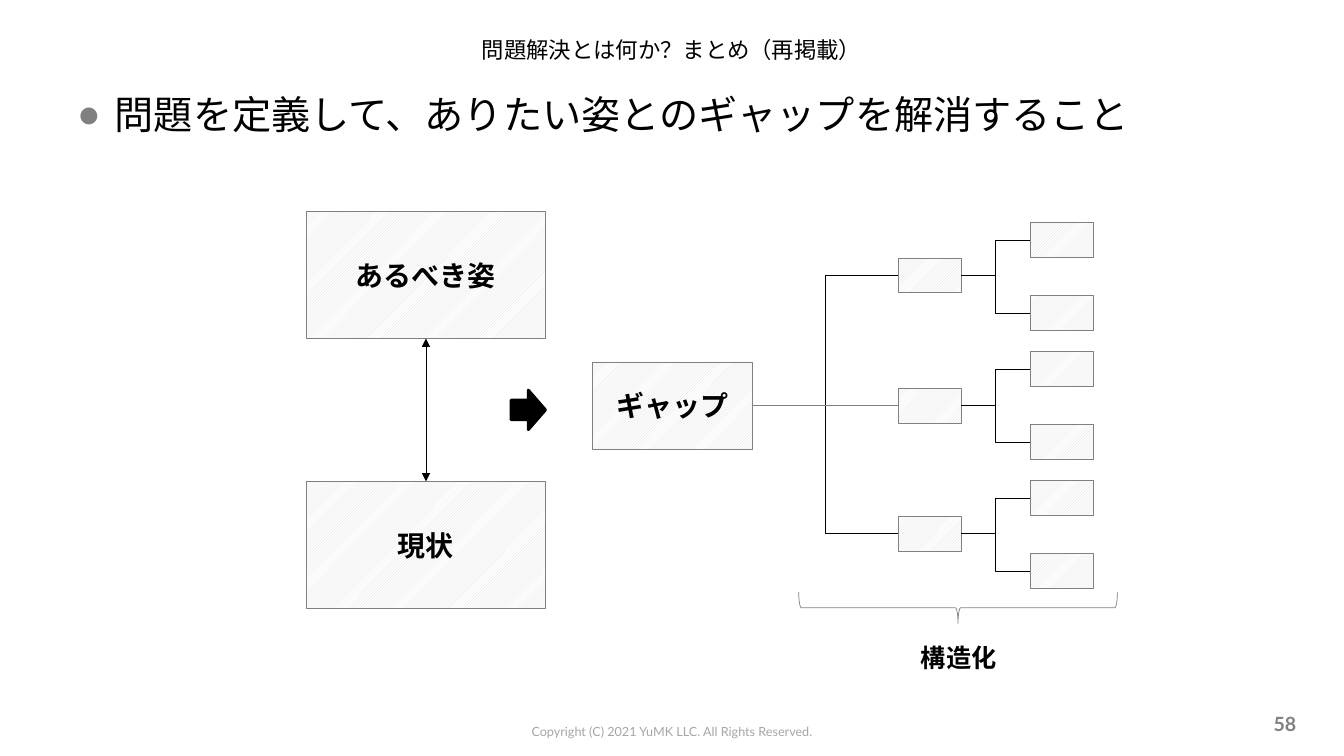
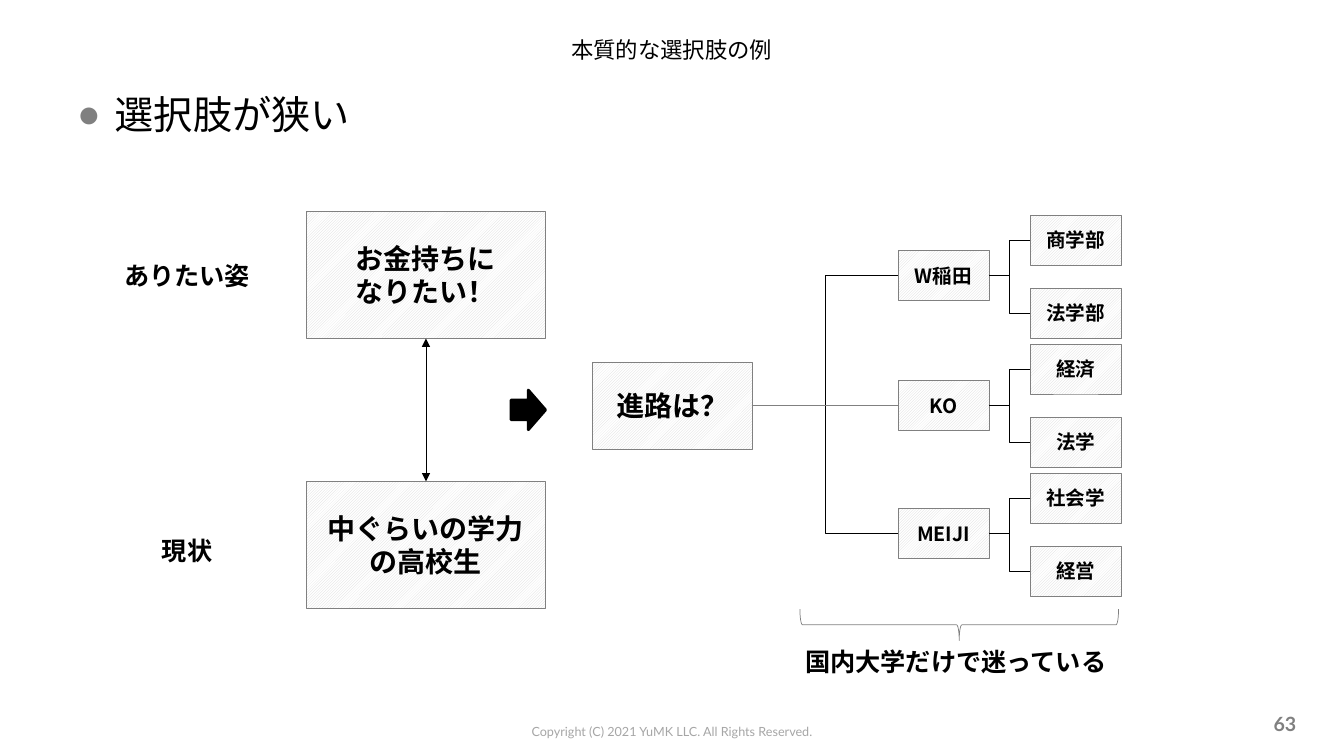
import pptx
import pptx.util
import pptx.dml.color
import pptx.enum.dml
import pptx.enum.shapes
import pptx.enum.text
import pptx.oxml
import pptx.oxml.ns

Cm = pptx.util.Cm
Pt = pptx.util.Pt
SHAPE = pptx.enum.shapes.MSO_SHAPE
CONNECTOR = pptx.enum.shapes.MSO_CONNECTOR
ALIGN = pptx.enum.text.PP_ALIGN
ANCHOR = pptx.enum.text.MSO_ANCHOR
AUTO_SIZE = pptx.enum.text.MSO_AUTO_SIZE

BLACK = pptx.dml.color.RGBColor(0x00, 0x00, 0x00)
WHITE = pptx.dml.color.RGBColor(0xFF, 0xFF, 0xFF)
GRAY = pptx.dml.color.RGBColor(0x80, 0x80, 0x80)
FOOTER_GRAY = pptx.dml.color.RGBColor(0xA6, 0xA6, 0xA6)
HATCH_GRAY = pptx.dml.color.RGBColor(0xD9, 0xD9, 0xD9)
JAPANESE_FONT = "Noto Sans CJK JP"
LATIN_FONT = "Lato"
TOP, LEFT, BOTTOM, RIGHT = range(4)

GOAL_LEFT, GOAL_WIDTH, GOAL_HEIGHT = 7.72, 6.03, 3.2
GAP_LEFT, GAP_WIDTH, GAP_HEIGHT = 14.93, 4.02, 2.2
BRANCH_LEFT, LEAF_LEFT = 22.63, 25.96
BRANCH_CENTRES = (6.94, 10.22, 13.45)
FIRST_LEAF_CENTRE, LEAF_PAIR_PITCH, LEAF_PITCH = 6.05, 3.25, 1.84

SLIDES = [
    {
        "title": "問題解決とは何か？まとめ（再掲載）",
        "body": "問題を定義して、ありたい姿とのギャップを解消すること",
        "body_height": 14.71,
        "number": "58",
        "goal": ["あるべき姿"],
        "present": ["現状"],
        "gap": ["ギャップ"],
        "branches": [("", "", "")] * 3,
        "node_size": (1.59, 0.88),
        "brace": (23.75, 11.3),
        "caption": ("構造化", 22.96, 16.05, 2.44),
        "labels": [],
    },
    {
        "title": "本質的な選択肢の例",
        "body": "選択肢が狭い",
        "body_height": 1.73,
        "number": "63",
        "goal": ["お金持ちに", "なりたい！"],
        "present": ["中ぐらいの学力の高校生"],
        "gap": ["進路は？"],
        "branches": [
            ("W稲田", "商学部", "法学部"),
            ("KO", "経済", "法学"),
            ("MEIJI", "社会学", "経営"),
        ],
        "node_size": (2.3, 1.26),
        "brace": (23.78, 11.73),
        "caption": ("国内大学だけで迷っている", 20.04, 16.15, 8.2),
        "labels": [("ありたい姿", 6.43), ("現状", 13.36)],
    },
]


def add_text(paragraph, text, size, align=ALIGN.CENTER, color=BLACK, font=JAPANESE_FONT, bold=True):
    paragraph.alignment = align
    run = paragraph.add_run()
    run.text = text
    run.font.size = Pt(size)
    run.font.bold = bold
    run.font.color.rgb = color
    run.font.name = font
    east_asian = pptx.oxml.parse_xml(f'<a:ea {pptx.oxml.ns.nsdecls("a")} typeface="{font}"/>')
    run.font._element.append(east_asian)


def add_link(slide, kind, start, start_side, end, end_side, color=BLACK):
    connector = slide.shapes.add_connector(kind, 0, 0, 0, 0)
    connector.begin_connect(start, start_side)
    connector.end_connect(end, end_side)
    connector.line.color.rgb = color
    connector.line.width = Pt(0.5)
    effects = pptx.oxml.parse_xml(f'<a:effectLst {pptx.oxml.ns.nsdecls("a")}/>')
    connector._element.spPr.append(effects)
    return connector


presentation = pptx.Presentation()
presentation.slide_width = Cm(33.87)
presentation.slide_height = Cm(19.05)
layout = presentation.slide_layouts[1]
for placeholder in list(layout.placeholders):
    if placeholder.placeholder_format.idx >= 10:
        layout.shapes.element.remove(placeholder.element)
layout_title = layout.placeholders[0]
layout_title.left, layout_title.top = Cm(1.69), Cm(0.56)
layout_title.width, layout_title.height = Cm(30.48), Cm(1.37)

slides = [presentation.slides.add_slide(layout) for content in SLIDES]

footer = slides[0].shapes.add_textbox(Cm(10.67), Cm(18.11), Cm(12.52), Cm(0.63))
footer.text_frame.word_wrap = True
add_text(footer.text_frame.paragraphs[0], "Copyright (C) 2021 YuMK LLC. All Rights Reserved.",
         9, color=FOOTER_GRAY, font=LATIN_FONT, bold=False)
layout.shapes.element.append(footer.element)

for slide, content in zip(slides, SLIDES):
    add_text(slide.shapes.title.text_frame.paragraphs[0], content["title"], 16, bold=False)

    body = slide.placeholders[1]
    body.left, body.top = Cm(1.69), Cm(2.16)
    body.width, body.height = Cm(30.48), Cm(content["body_height"])
    paragraph = body.text_frame.paragraphs[0]
    paragraph.space_before = Pt(0)
    properties = paragraph._element.get_or_add_pPr()
    properties.set("marL", str(Cm(0.95)))
    properties.set("indent", str(Cm(-0.95)))
    namespace = pptx.oxml.ns.nsdecls("a")
    for bullet in (f'<a:buClr {namespace}><a:srgbClr val="{GRAY}"/></a:buClr>',
                   f'<a:buChar {namespace} char="●"/>'):
        properties.append(pptx.oxml.parse_xml(bullet))
    add_text(paragraph, content["body"], 28, align=ALIGN.LEFT, bold=False)

    number = slide.shapes.add_textbox(Cm(25.02), Cm(17.73), Cm(7.9), Cm(1.02))
    number.text_frame.word_wrap = True
    number.text_frame.vertical_anchor = ANCHOR.MIDDLE
    add_text(number.text_frame.paragraphs[0], content["number"], 14,
             align=ALIGN.RIGHT, color=GRAY, font=LATIN_FONT)

    node_width, node_height = content["node_size"]
    boxes = [
        (content["goal"], GOAL_LEFT, 6.93, GOAL_WIDTH, GOAL_HEIGHT, 20),
        (content["present"], GOAL_LEFT, 13.73, GOAL_WIDTH, GOAL_HEIGHT, 20),
        (content["gap"], GAP_LEFT, BRANCH_CENTRES[1], GAP_WIDTH, GAP_HEIGHT, 20),
    ]
    for index, (branch_text, *leaf_texts) in enumerate(content["branches"]):
        boxes.append(([branch_text], BRANCH_LEFT, BRANCH_CENTRES[index], node_width, node_height, 14))
        for position, leaf_text in enumerate(leaf_texts):
            centre = FIRST_LEAF_CENTRE + index * LEAF_PAIR_PITCH + position * LEAF_PITCH
            boxes.append(([leaf_text], LEAF_LEFT, centre, node_width, node_height, 14))

    shapes = []
    for lines, left, centre, width, height, size in boxes:
        shape = slide.shapes.add_shape(SHAPE.RECTANGLE, Cm(left), Cm(centre - height / 2),
                                       Cm(width), Cm(height))
        shape.shadow.inherit = False
        shape.fill.patterned()
        shape.fill.pattern = pptx.enum.dml.MSO_PATTERN.LIGHT_UPWARD_DIAGONAL
        shape.fill.fore_color.rgb = HATCH_GRAY
        shape.fill.back_color.rgb = WHITE
        shape.line.color.rgb = GRAY
        shape.line.width = Pt(0.5)
        frame = shape.text_frame
        for index, line in enumerate(lines):
            paragraph = frame.add_paragraph() if index else frame.paragraphs[0]
            if line:
                add_text(paragraph, line, size)
        shapes.append(shape)

    goal, present, gap, *nodes = shapes
    branches = nodes[::3]
    for index, branch in enumerate(branches):
        for leaf in nodes[index * 3 + 1:index * 3 + 3]:
            add_link(slide, CONNECTOR.ELBOW, branch, RIGHT, leaf, LEFT)
    for branch in (branches[0], branches[2]):
        add_link(slide, CONNECTOR.ELBOW, gap, RIGHT, branch, LEFT)
    add_link(slide, CONNECTOR.STRAIGHT, gap, RIGHT, branches[1], LEFT, GRAY)

    difference = add_link(slide, CONNECTOR.STRAIGHT, goal, BOTTOM, present, TOP)
    for end in ("headEnd", "tailEnd"):
        arrowhead = pptx.oxml.parse_xml(f'<a:{end} {namespace} type="triangle"/>')
        difference.line._get_or_add_ln().append(arrowhead)

    arrow = slide.shapes.add_shape(SHAPE.RIGHT_ARROW, Cm(12.88), Cm(9.83), Cm(0.87), Cm(1))
    arrow.shadow.inherit = False
    arrow.fill.solid()
    arrow.fill.fore_color.rgb = BLACK
    arrow.line.color.rgb = BLACK
    arrow.line.width = Pt(2)

    brace_left, brace_top = content["brace"]
    brace = slide.shapes.add_shape(SHAPE.LEFT_BRACE, Cm(brace_left), Cm(brace_top), Cm(0.79), Cm(8.03))
    brace.rotation = 270
    brace.shadow.inherit = False
    brace.fill.background()
    brace.line.color.rgb = GRAY
    brace.line.width = Pt(0.5)

    text, left, top, width = content["caption"]
    caption = slide.shapes.add_textbox(Cm(left), Cm(top), Cm(width), Cm(1.02))
    caption.text_frame.word_wrap = False
    caption.text_frame.auto_size = AUTO_SIZE.SHAPE_TO_FIT_TEXT
    add_text(caption.text_frame.paragraphs[0], text, 18, align=ALIGN.LEFT)

    for text, top in content["labels"]:
        label = slide.shapes.add_textbox(Cm(2.72), Cm(top), Cm(3.99), Cm(1.02))
        label.text_frame.word_wrap = True
        label.text_frame.auto_size = AUTO_SIZE.SHAPE_TO_FIT_TEXT
        add_text(label.text_frame.paragraphs[0], text, 18)

presentation.save("out.pptx")
